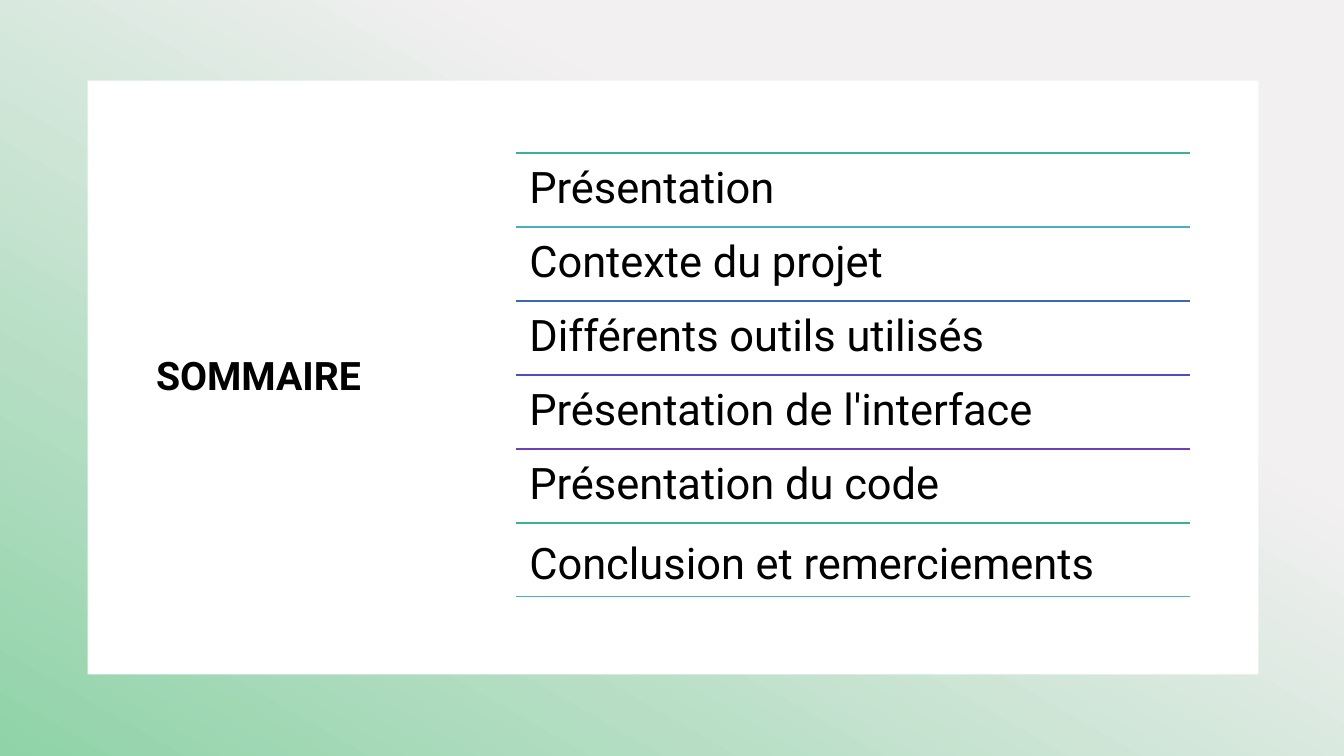
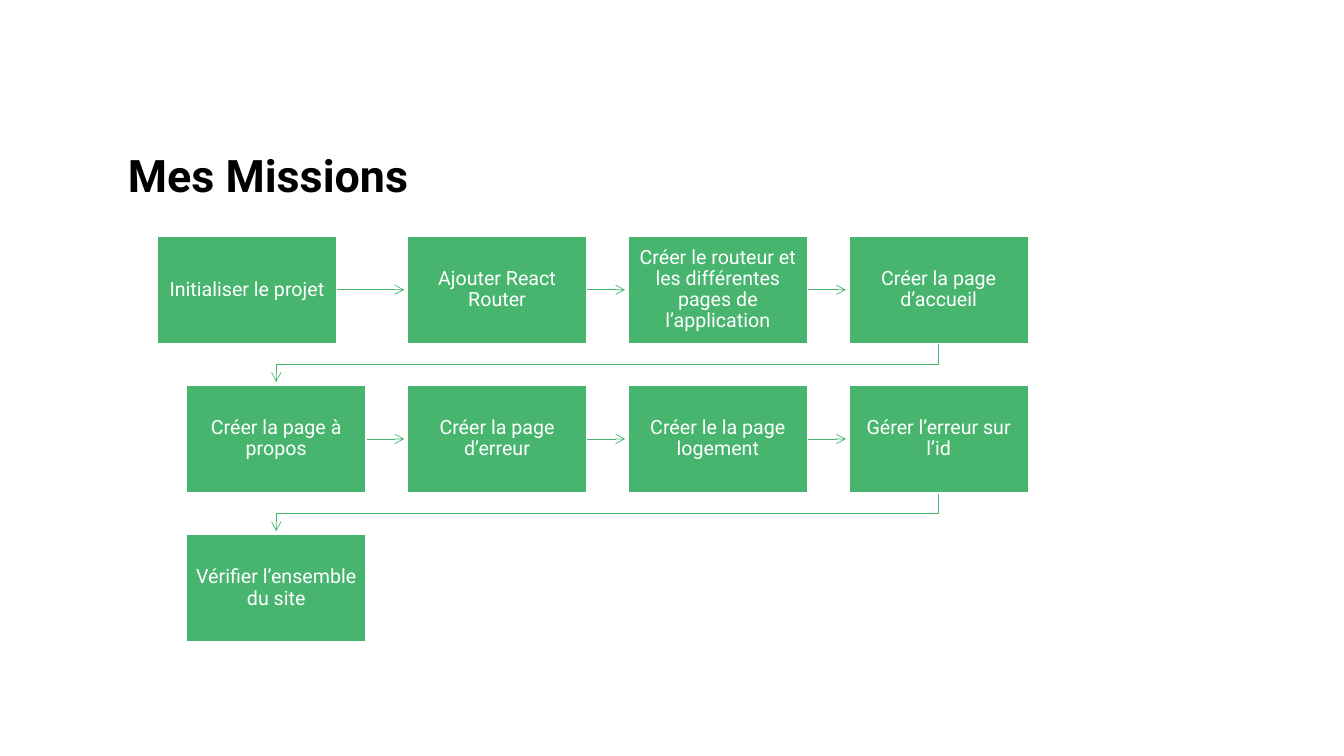
from dataclasses import dataclass
from itertools import pairwise
from typing import Any

from lxml.etree import SubElement
from pptx import Presentation
from pptx.dml.color import RGBColor
from pptx.enum.shapes import MSO_CONNECTOR as Connector, MSO_SHAPE as Preset
from pptx.enum.text import MSO_ANCHOR as Anchor, PP_ALIGN as Align
from pptx.oxml.ns import qn
from pptx.util import Inches, Pt

SLIDE_W, SLIDE_H = 13.33, 7.5
FONT = "Roboto"
BLACK, WHITE, GREEN = "000000", "FFFFFF", "47B56E"
MIST, MINT = "F3F0F2", "90D3A8"

AGENDA_LEFT, AGENDA_TOP, AGENDA_W = 5.12, 1.52, 6.68
AGENDA_PITCH = 4.4 / 6
AGENDA_CLOSING = "4DADC3"

STEP_W, STEP_H = 1.78, 1.07
STEP_LEFT, STEP_TOP = 1.85, 2.34
COLUMN_PITCH, ROW_PITCH = 2.19, 1.48
COLUMNS = 4
ARROW_GAP = 0.03


@dataclass(frozen=True)
class Box:
    left: float
    top: float
    width: float
    height: float

    @property
    def lengths(self) -> tuple:
        return tuple(Inches(v) for v in (self.left, self.top, self.width, self.height))

    @property
    def center_x(self) -> float:
        return self.left + self.width / 2

    @property
    def center_y(self) -> float:
        return self.top + self.height / 2

    @property
    def right(self) -> float:
        return self.left + self.width

    @property
    def bottom(self) -> float:
        return self.top + self.height


@dataclass(frozen=True)
class AgendaItem:
    label: str
    rule_color: str
    drop: float = 0


@dataclass(frozen=True)
class Mission:
    label: str
    index: int
    shift: float = 0

    @property
    def box(self) -> Box:
        row, column = divmod(self.index, COLUMNS)
        return Box(STEP_LEFT + column * COLUMN_PITCH + self.shift,
                   STEP_TOP + row * ROW_PITCH, STEP_W, STEP_H)


AGENDA = [
    AgendaItem("Présentation", "3BB196"),
    AgendaItem("Contexte du projet", "4DADC3"),
    AgendaItem("Différents outils utilisés", "3B6AB1"),
    AgendaItem("Présentation de l'interface", "4F4DC3"),
    AgendaItem("Présentation du code", "713EB3"),
    AgendaItem("Conclusion et remerciements", "3BB196", drop=0.06),
]

MISSION_LABELS = [
    "Initialiser le projet",
    "Ajouter React Router",
    "Créer le routeur et les différentes pages de l’application",
    "Créer la page d’accueil",
    "Créer la page à propos",
    "Créer la page d’erreur",
    "Créer le la page logement",
    "Gérer l’erreur sur l’id",
    "Vérifier l’ensemble du site",
]
MISSIONS = [Mission(label, i, shift=0 if i else -0.29)
            for i, label in enumerate(MISSION_LABELS)]


def rgb(color: str) -> RGBColor:
    return RGBColor.from_string(color)


def apply(target: Any, values: dict) -> None:
    for name, value in values.items():
        setattr(target, name, value)


def write(shape: Any, text: str, size: float, color: str = BLACK, bold: bool = False,
          anchor: Any = Anchor.TOP, align: Any = Align.LEFT,
          inset: tuple[float, float] = (0.1, 0.05)) -> None:
    frame = shape.text_frame
    across, down = (Inches(v) for v in inset)
    apply(frame, {"word_wrap": True, "vertical_anchor": anchor,
                  "margin_left": across, "margin_right": across,
                  "margin_top": down, "margin_bottom": down})
    paragraph = frame.paragraphs[0]
    apply(paragraph, {"alignment": align, "line_spacing": 0.9})
    run = paragraph.add_run()
    run.text = text
    apply(run.font, {"name": FONT, "size": Pt(size), "bold": bold})
    run.font.color.rgb = rgb(color)


def add_text(slide: Any, box: Box, text: str, size: float, **style: Any) -> None:
    write(slide.shapes.add_textbox(*box.lengths), text, size, **style)


def add_title(slide: Any, box: Box, text: str, size: float, anchor: Any) -> None:
    add_text(slide, box, text, size, bold=True, anchor=anchor)


def add_panel(slide: Any, box: Box, fill: str | None = None) -> Any:
    panel = slide.shapes.add_shape(Preset.RECTANGLE, *box.lengths)
    panel.shadow.inherit = False
    panel.line.fill.background()
    if fill:
        panel.fill.solid()
        panel.fill.fore_color.rgb = rgb(fill)
    return panel


def stroke(shape: Any, color: str, width: float, arrow: bool = False) -> None:
    shape.line.color.rgb = rgb(color)
    shape.line.width = Pt(width)
    if arrow:
        outline = shape.element.spPr.find(qn("a:ln"))
        SubElement(outline, qn("a:tailEnd"), type="arrow")


def add_rule(slide: Any, start: tuple[float, float], end: tuple[float, float],
             color: str, width: float, arrow: bool = False) -> None:
    rule = slide.shapes.add_connector(
        Connector.STRAIGHT, *(Inches(v) for v in (*start, *end)))
    stroke(rule, color, width, arrow)
    SubElement(rule.element.spPr, qn("a:effectLst"))


def add_return_arrow(slide: Any, source: Box, target: Box) -> None:
    middle = (source.bottom + target.top) / 2
    route = [(source.center_x, source.bottom), (source.center_x, middle),
             (target.center_x, middle), (target.center_x, target.top - ARROW_GAP)]
    start, *turns = [(Inches(x), Inches(y)) for x, y in route]
    builder = slide.shapes.build_freeform(*start)
    builder.add_line_segments(turns, close=False)
    bend = builder.convert_to_shape()
    bend.shadow.inherit = False
    bend.fill.background()
    stroke(bend, GREEN, 0.5, arrow=True)


def add_step_arrow(slide: Any, source: Box, target: Box) -> None:
    if target.top > source.top:
        add_return_arrow(slide, source, target)
    else:
        add_rule(slide, (source.right, source.center_y),
                 (target.left - ARROW_GAP, target.center_y), GREEN, 0.5, arrow=True)


def build_agenda(slide: Any) -> None:
    backdrop = add_panel(slide, Box(0, 0, SLIDE_W, SLIDE_H))
    backdrop.fill.gradient()
    backdrop.fill.gradient_angle = 240
    for stop, (position, color) in zip(backdrop.fill.gradient_stops,
                                       [(0.32, MIST), (1, MINT)]):
        stop.position = position
        stop.color.rgb = rgb(color)
    add_panel(slide, Box(0.87, 0.8, 11.61, 5.89), WHITE)
    add_title(slide, Box(1.45, 2.25, 3.3, 2.99), "SOMMAIRE", 28, Anchor.MIDDLE)

    rule_colors = [item.rule_color for item in AGENDA] + [AGENDA_CLOSING]
    for i, color in enumerate(rule_colors):
        y = AGENDA_TOP + i * AGENDA_PITCH
        add_rule(slide, (AGENDA_LEFT, y), (AGENDA_LEFT + AGENDA_W, y), color, 1)
    for i, item in enumerate(AGENDA):
        y = AGENDA_TOP + i * AGENDA_PITCH + item.drop
        add_text(slide, Box(AGENDA_LEFT, y, AGENDA_W, AGENDA_PITCH),
                 item.label, 31, inset=(0.13, 0.13))


def build_missions(slide: Any) -> None:
    add_title(slide, Box(1.17, 1.02, 9.72, 1.04), "Mes Missions", 32, Anchor.BOTTOM)
    for source, target in pairwise(MISSIONS):
        add_step_arrow(slide, source.box, target.box)
    for mission in MISSIONS:
        step = add_panel(slide, mission.box, GREEN)
        stroke(step, WHITE, 1)
        write(step, mission.label, 14, color=WHITE, anchor=Anchor.MIDDLE,
              align=Align.CENTER, inset=(0.08, 0.08))


def main() -> None:
    """Build the agenda and missions slides and save the deck."""
    deck = Presentation()
    apply(deck, {"slide_width": Inches(SLIDE_W), "slide_height": Inches(SLIDE_H)})
    blank = deck.slide_layouts[6]
    for build in (build_agenda, build_missions):
        build(deck.slides.add_slide(blank))
    deck.save("out.pptx")


if __name__ == "__main__":
    main()
